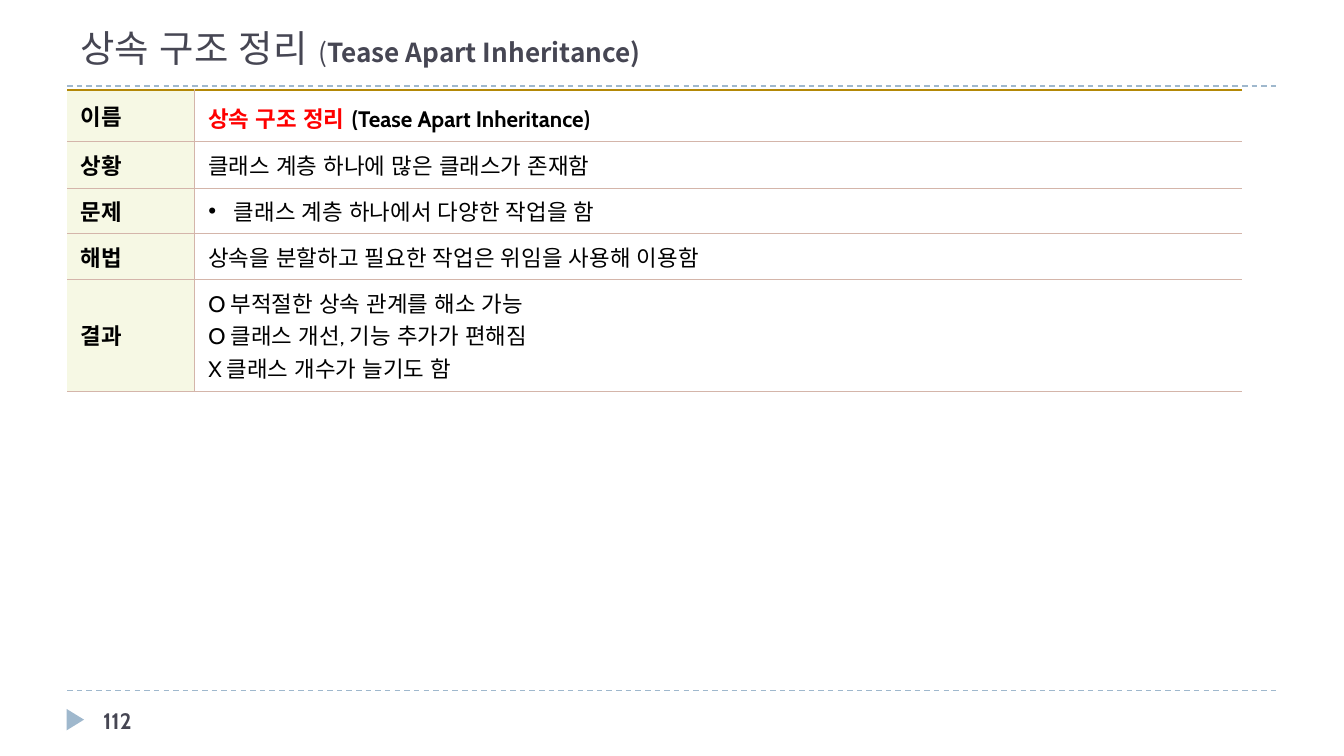
from lxml import etree
from pptx import Presentation
from pptx.dml.color import RGBColor
from pptx.enum.dml import MSO_LINE
from pptx.enum.lang import MSO_LANGUAGE_ID
from pptx.enum.shapes import MSO_CONNECTOR, MSO_SHAPE
from pptx.enum.text import MSO_ANCHOR
from pptx.oxml.ns import qn
from pptx.util import Inches, Pt

DASH = MSO_LINE.DASH
LANGUAGE = MSO_LANGUAGE_ID.KOREAN
STRAIGHT = MSO_CONNECTOR.STRAIGHT
TRIANGLE = MSO_SHAPE.ISOSCELES_TRIANGLE
MIDDLE, BOTTOM = MSO_ANCHOR.MIDDLE, MSO_ANCHOR.BOTTOM

COLORS = {"ink": "464653", "rule": "9FB8CD", "text": "000000", "accent": "FF0000",
          "label": "F6F8E4", "grid": "D4B5AA", "top": "B38807"}
LATIN, KOREAN = "Cabin", "Noto Sans CJK KR"


def rgb(name):
    return RGBColor.from_string(COLORS[name])


def add_run(p, text, size=12, color="text", bold=False, font=LATIN):
    r = p.add_run()
    r.text = text
    r.font.size, r.font.bold, r.font.name = Pt(size), bold, font
    r.font.language_id = LANGUAGE
    r.font.color.rgb = rgb(color)
    etree.SubElement(r.font._element, qn("a:ea"), typeface=KOREAN)


def add_text(s, x, y, w, h, anchor):
    tf = s.shapes.add_textbox(Inches(x), Inches(y), Inches(w), Inches(h)).text_frame
    tf.word_wrap = True
    tf.vertical_anchor = anchor
    return tf.paragraphs[0]


def add_rule(s, x, y, w):
    line = s.shapes.add_connector(STRAIGHT, Inches(x), Inches(y), Inches(x + w), Inches(y))
    line.line.color.rgb = rgb("rule")
    line.line.width = Pt(0.75)
    line.line.dash_style = DASH
    etree.SubElement(line._element.spPr, qn("a:effectLst"))


def set_borders(cell, borders):
    """Draw the given sides (L, R, T, B) and leave the others empty."""
    tcPr = cell._tc.get_or_add_tcPr()
    for i, side in enumerate("LRTB"):
        color, width = borders.get(side, (None, 0))
        ln = etree.Element(qn(f"a:ln{side}"), w=str(Pt(width)))
        if color:
            fill = etree.SubElement(ln, qn("a:solidFill"))
            etree.SubElement(fill, qn("a:srgbClr"), val=COLORS[color])
        else:
            etree.SubElement(ln, qn("a:noFill"))
        tcPr.insert(i, ln)


def add_bullet(p, indent):
    pPr = p._p.get_or_add_pPr()
    pPr.set("marL", str(Inches(indent)))
    pPr.set("indent", str(-Inches(indent)))
    etree.SubElement(pPr, qn("a:buFont"), typeface="Arial")
    etree.SubElement(pPr, qn("a:buChar"), char="•")


def add_header(s, x, y, w, h):
    p = add_text(s, x, y, w, h, BOTTOM)
    add_run(p, "상속 구조 정리 ", 20, "ink", font=KOREAN)
    add_run(p, "(", 14, "ink", font=KOREAN)
    add_run(p, "Tease Apart Inheritance)", 14, "ink", True, KOREAN)
    add_rule(s, x, y + h + 0.07, w)


def add_footer(s, x, y, w):
    add_rule(s, x, y, w)
    marker = s.shapes.add_shape(TRIANGLE, Inches(x - 0.02), Inches(y + 0.15),
                                Inches(0.16), Inches(0.13))
    marker.rotation = 90
    marker.shadow.inherit = False
    marker.fill.solid()
    marker.fill.fore_color.rgb = rgb("rule")
    marker.line.fill.background()
    p = add_text(s, x + 0.17, y + 0.07, 2.17, 0.3, MIDDLE)
    add_run(p, "112", 12, "ink", True)


def add_summary(s, x, y, w):
    # Each row: label, height, paragraphs of (text, run options)
    rows = [
        ("이름", 0.38, [[("상속 구조 정리", {"color": "accent", "bold": True}),
                       (" ", {"size": 14, "bold": True}),
                       ("(Tease Apart Inheritance)", {"bold": True})]]),
        ("상황", 0.35, [[("클래스 계층 하나에 많은 클래스가 존재함", {})]]),
        ("문제", 0.34, [[("클래스 계층 하나에서 다양한 작업을 함", {})]]),
        ("해법", 0.34, [[("상속을 분할하고 필요한 작업은 위임을 사용해 이용함", {})]]),
        ("결과", 0.83, [[("O 부적절한 상속 관계를 해소 가능", {})],
                      [("O 클래스 개선, 기능 추가가 편해짐", {})],
                      [("X 클래스 개수가 늘기도 함", {})]]),
    ]
    label_w = 0.95
    height = sum(row[1] for row in rows)
    table = s.shapes.add_table(len(rows), 2, Inches(x), Inches(y),
                               Inches(w), Inches(height)).table
    table.first_row = table.horz_banding = False
    table.columns[0].width = Inches(label_w)
    table.columns[1].width = Inches(w - label_w)
    grid = ("grid", 0.5)

    for i, (label, row_h, paragraphs) in enumerate(rows):
        table.rows[i].height = Inches(row_h)
        name, body = table.cell(i, 0), table.cell(i, 1)
        name.fill.solid()
        name.fill.fore_color.rgb = rgb("label")
        body.fill.background()
        edges = {"T": grid if i else ("top", 1), "B": grid}
        set_borders(name, {**edges, "R": grid})
        set_borders(body, {**edges, "L": grid})
        name.vertical_anchor = body.vertical_anchor = MIDDLE

        add_run(name.text_frame.paragraphs[0], label, bold=True)
        tf = body.text_frame
        for j, runs in enumerate(paragraphs):
            p = tf.add_paragraph() if j else tf.paragraphs[0]
            if label == "문제":
                add_bullet(p, 0.19)
            for text, options in runs:
                add_run(p, text, **options)


def main():
    prs = Presentation()
    # 16:9 page
    prs.slide_width = Inches(10)
    prs.slide_height = prs.slide_width * 9 // 16
    s = prs.slides.add_slide(prs.slide_layouts[6])
    add_footer(s, 0.5, 5.14, 9)
    add_summary(s, 0.5, 0.67, 8.74)
    add_header(s, 0.5, 0.13, 9, 0.44)
    prs.save("out.pptx")


if __name__ == "__main__":
    main()
